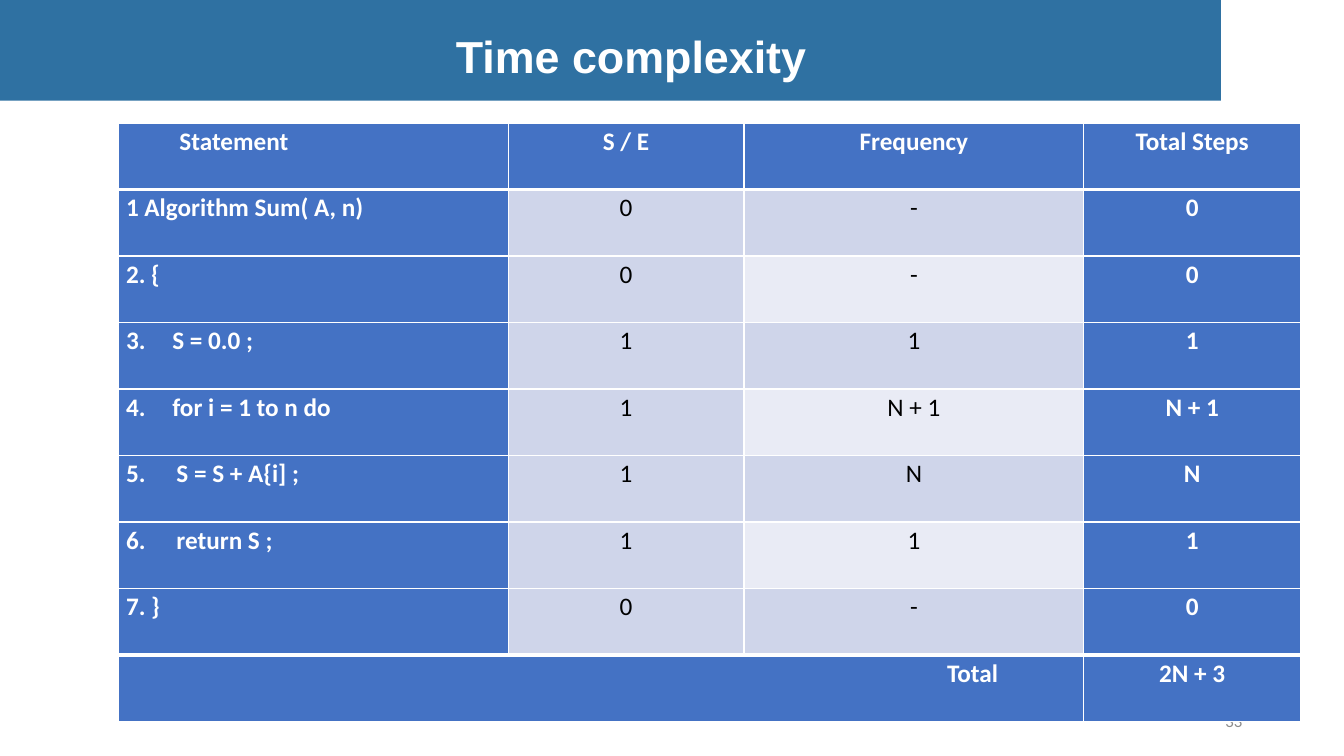
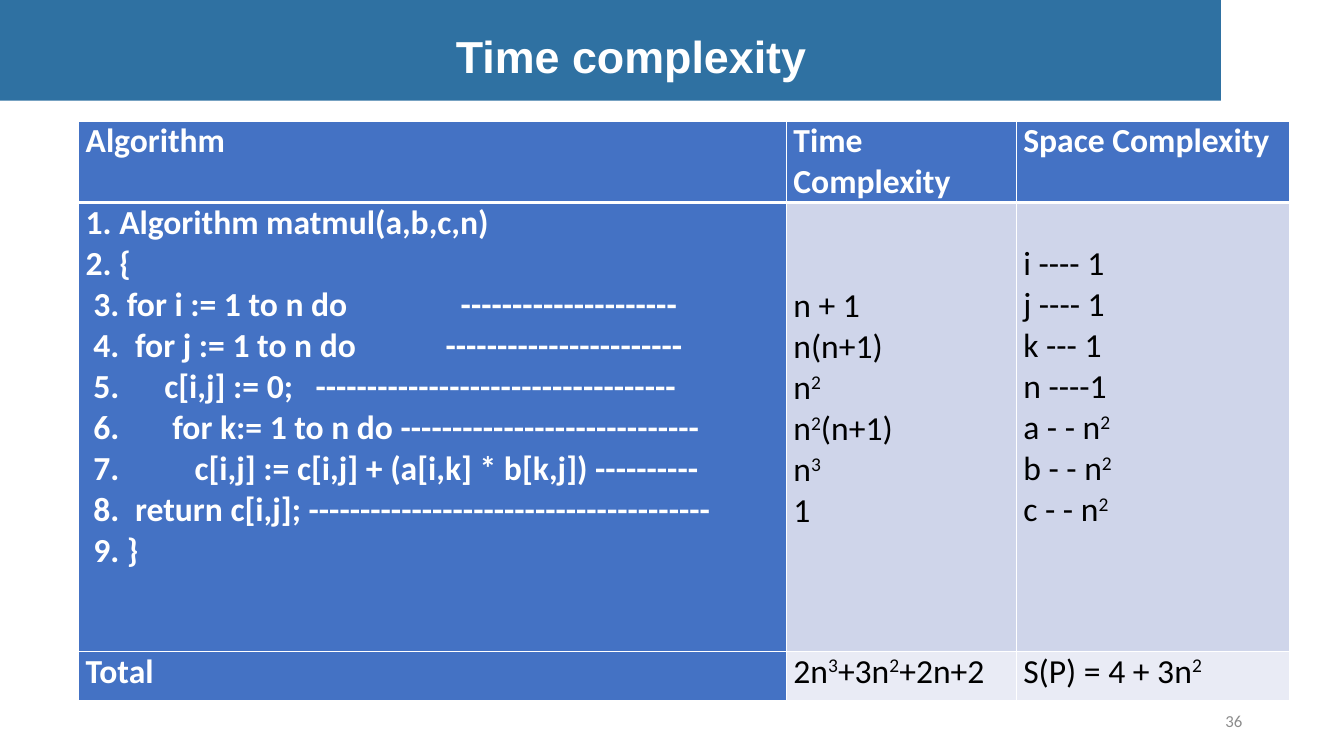
from pptx import Presentation
from pptx.dml.color import RGBColor
from pptx.enum.shapes import MSO_SHAPE
from pptx.enum.text import MSO_ANCHOR, PP_ALIGN
from pptx.oxml import parse_xml
from pptx.oxml.ns import nsdecls
from pptx.util import Emu, Pt

PX = 9144
WHITE = RGBColor(0xFF, 0xFF, 0xFF)
BLACK = RGBColor(0x00, 0x00, 0x00)
GRAY = RGBColor(0x8C, 0x8C, 0x8C)
BANNER = RGBColor(0x2F, 0x71, 0xA2)
BLUE = RGBColor(0x44, 0x72, 0xC4)
BAND = RGBColor(0xCF, 0xD5, 0xEA)
PALE = RGBColor(0xE9, 0xEB, 0xF5)

TITLE = "Time complexity"

STEP_COLUMNS = [387, 234, 337, 215]
STEP_ROW_HEIGHT = 66
STEP_ROWS = [
    ("Statement", "S / E", "Frequency", "Total Steps"),
    ("1 Algorithm Sum( A, n)", "0", "-", "0"),
    ("2. {", "0", "-", "0"),
    (("3.\tS = 0.0 ;", [46]), "1", "1", "1"),
    (("4.\tfor i = 1 to n do", [46]), "1", "N + 1", "N + 1"),
    (("5.\tS = S + A{i] ;", [50]), "1", "N", "N"),
    (("6.\treturn S ;", [50]), "1", "1", "1"),
    ("7. }", "0", "-", "0"),
    ("Total", "", "", "2N + 3"),
]

MATRIX_COLUMNS = [702, 228, 271]
MATRIX_HEIGHTS = [81, 445, 49]
MATRIX_LINE = 41
MATRIX_SKIPPED_LINES = [0, 2, 1]
MATRIX_ROWS = [
    (["Algorithm"], ["Time Complexity"], ["Space Complexity"]),
    (
        [
            "1. Algorithm matmul(a,b,c,n)",
            "2. {",
            (" 3. for i := 1 to n do\t---------------------", [372]),
            (" 4.\tfor j := 1 to n do\t-----------------------", [49, 357]),
            (" 5.\tc[i,j] := 0;\t-----------------------------------", [78, 228]),
            (" 6.\tfor k:= 1 to n do -----------------------------", [86]),
            (" 7.\tc[i,j] := c[i,j] + (a[i,k] * b[k,j]) ----------", [108]),
            (" 8.\treturn c[i,j]; ---------------------------------------", [49]),
            " 9. }",
        ],
        ["n + 1", "n(n+1)", "n^2", "n^2(n+1)", "n^3", "1"],
        ["i ---- 1", "j ---- 1", "k --- 1", "n ----1", "a - - n^2", "b - - n^2", "c - - n^2"],
    ),
    (["Total"], ["2n^3+3n^2+2n+2"], ["S(P) = 4 + 3n^2"]),
]


def px(*lengths):
    return [Emu(length * PX) for length in lengths]


def add_span(para, text, size, color, font, bold, raised=False):
    if not text:
        return
    span = para.add_run()
    span.text = text
    span.font.size = Pt(size)
    span.font.name = font
    span.font.bold = bold
    span.font.color.rgb = color
    if raised:
        span.font._element.set("baseline", "30000")


def write_text(frame, lines, size=18, color=WHITE, font="Calibri", bold=False,
               align=PP_ALIGN.LEFT, spacing=None):
    for index, line in enumerate(lines):
        text, stops = (line, []) if isinstance(line, str) else line
        para = frame.paragraphs[0] if index == 0 else frame.add_paragraph()
        para.alignment = align
        if spacing:
            para.line_spacing = Pt(spacing)
        if stops:
            tabs = "".join(f'<a:tab pos="{stop * PX}" algn="l"/>' for stop in stops)
            para._p.get_or_add_pPr().append(
                parse_xml(f'<a:tabLst {nsdecls("a")}>{tabs}</a:tabLst>'))
        first, *powers = text.split("^")
        add_span(para, first, size, color, font, bold)
        for power in powers:
            add_span(para, power[0], size, color, font, bold, raised=True)
            add_span(para, power[1:], size, color, font, bold)


def set_margins(item, left, top, right, bottom):
    item.margin_left, item.margin_top, item.margin_right, item.margin_bottom = px(
        left, top, right, bottom)


def style_cell(cell, fill, top=1, bottom=1):
    cell.fill.solid()
    cell.fill.fore_color.rgb = fill
    borders = cell._tc.get_or_add_tcPr()
    for index, (side, width) in enumerate(zip("LRTB", (1, 1, top, bottom))):
        borders.insert(index, parse_xml(
            f'<a:ln{side} {nsdecls("a")} w="{Pt(width)}"><a:solidFill>'
            f'<a:srgbClr val="{WHITE}"/></a:solidFill></a:ln{side}>'))


def add_grid(page, left, top, columns, heights):
    table = page.shapes.add_table(
        len(heights), len(columns), *px(left, top, sum(columns), sum(heights))).table
    for column, width in zip(table.columns, px(*columns)):
        column.width = width
    for row, height in zip(table.rows, px(*heights)):
        row.height = height
    return table


def add_page(deck, number):
    page = deck.slides.add_slide(deck.slide_layouts[6])
    box = page.shapes.add_textbox(*px(942, 695, 300, 40))
    box.text_frame.word_wrap = True
    box.text_frame.vertical_anchor = MSO_ANCHOR.MIDDLE
    write_text(box.text_frame, [number], size=12, color=GRAY, align=PP_ALIGN.RIGHT)

    banner = page.shapes.add_shape(MSO_SHAPE.RECTANGLE, *px(0, 0, 1211, 100))
    banner.shadow.inherit = False
    banner.fill.solid()
    banner.fill.fore_color.rgb = BANNER
    banner.line.fill.background()
    banner.text_frame.vertical_anchor = MSO_ANCHOR.MIDDLE
    set_margins(banner.text_frame, 51, 15, 10, 5)
    write_text(banner.text_frame, [TITLE], size=32, font="Arial", bold=True,
               align=PP_ALIGN.CENTER)
    return page


def add_step_table(page):
    last_row, last_column = len(STEP_ROWS) - 1, len(STEP_COLUMNS) - 1
    table = add_grid(page, 117, 122, STEP_COLUMNS, [STEP_ROW_HEIGHT] * len(STEP_ROWS))
    table.cell(last_row, 0).merge(table.cell(last_row, last_column - 1))
    for r, values in enumerate(STEP_ROWS):
        for c, value in enumerate(values):
            cell = table.cell(r, c)
            strong = r in (0, last_row) or c in (0, last_column)
            fill = BLUE if strong else PALE if c == 2 and r % 2 == 0 else BAND
            style_cell(cell, fill, top=3 if r in (1, last_row) else 1,
                       bottom=3 if r in (0, last_row - 1) else 1)
            left, right, align = 0, 0, PP_ALIGN.CENTER
            if c == 0:
                left, align = 61 if r == 0 else 8, PP_ALIGN.LEFT
                if r == last_row:
                    left, right, align = 0, 85, PP_ALIGN.RIGHT
            set_margins(cell, left, 17, right, 0)
            if value:
                write_text(cell.text_frame, [value], bold=strong, align=align,
                           color=WHITE if strong else BLACK, spacing=11.9)


def add_matrix_table(page):
    table = add_grid(page, 78, 120, MATRIX_COLUMNS, MATRIX_HEIGHTS)
    for r, values in enumerate(MATRIX_ROWS):
        for c, lines in enumerate(values):
            cell = table.cell(r, c)
            strong = r == 0 or c == 0
            style_cell(cell, BLUE if strong else BAND if r == 1 else PALE,
                       top=3 if r == 1 else 1, bottom=3 if r == 0 else 1)
            skipped = MATRIX_SKIPPED_LINES[c] if r == 1 else 0
            set_margins(cell, 7, skipped * MATRIX_LINE, 7, 0)
            write_text(cell.text_frame, lines, size=24, bold=strong,
                       color=WHITE if strong else BLACK)


def main():
    deck = Presentation()
    deck.slide_width, deck.slide_height = px(1333, 750)
    add_step_table(add_page(deck, "33"))
    add_matrix_table(add_page(deck, "36"))
    deck.save("out.pptx")


if __name__ == "__main__":
    main()
